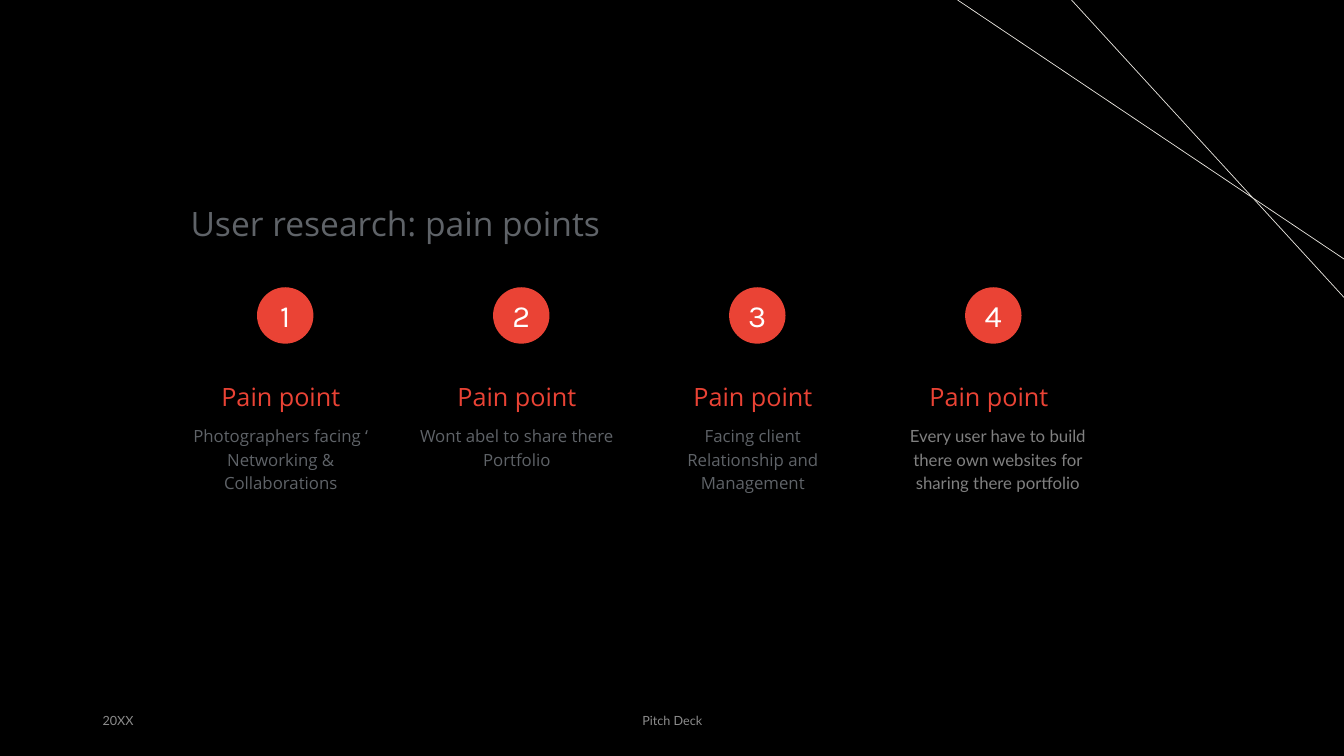
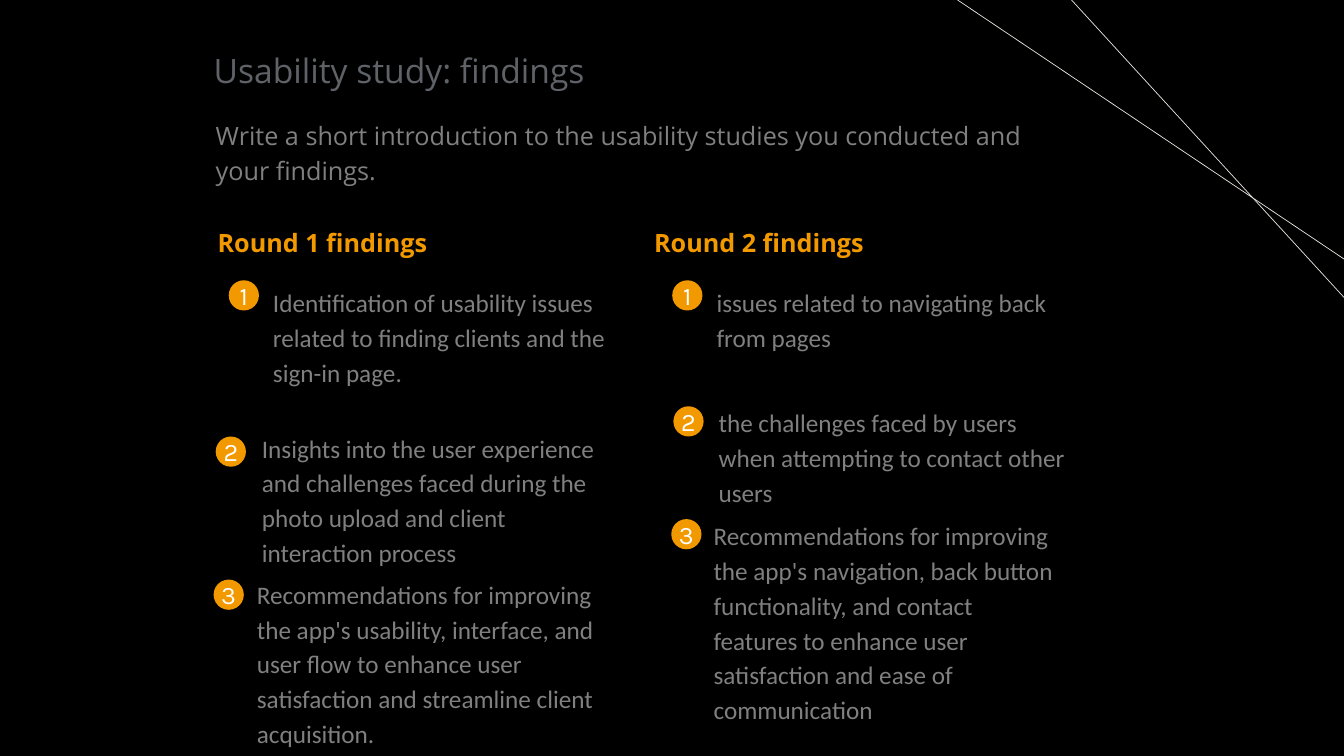
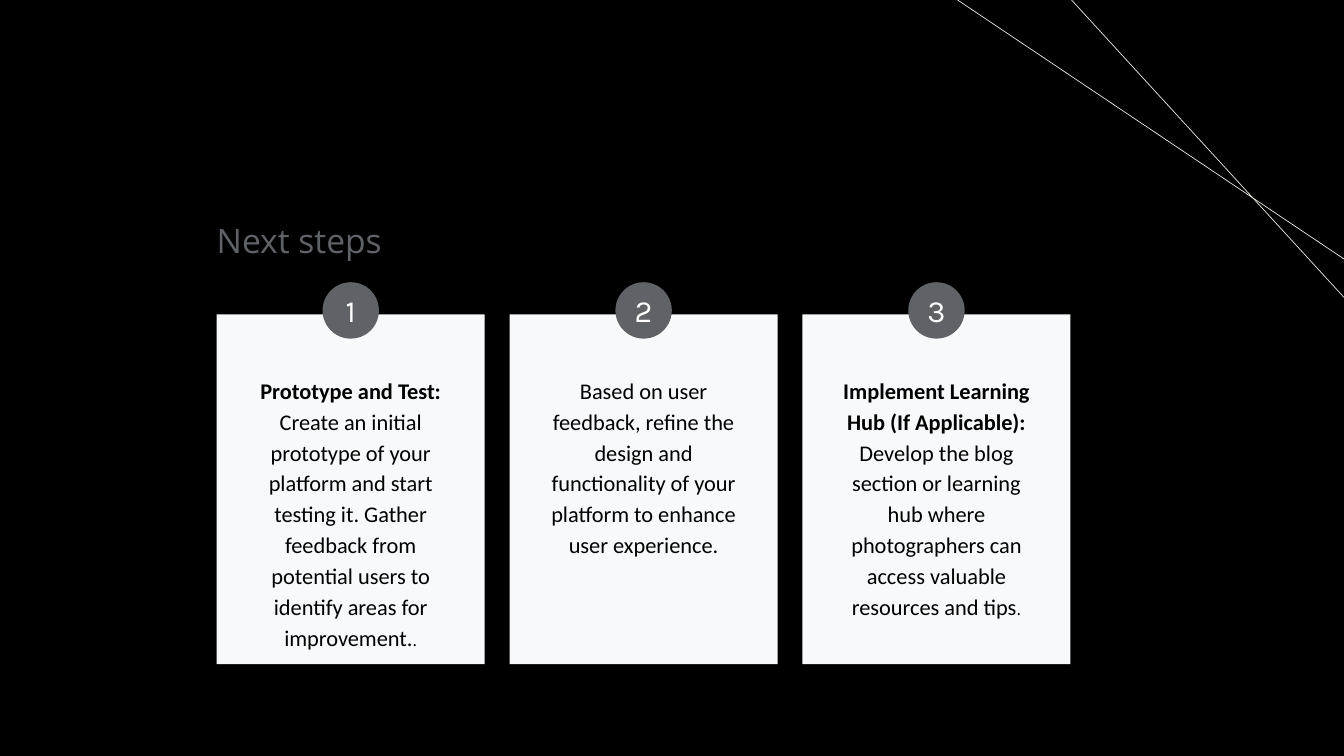
import pptx
import pptx.dml.color
import pptx.enum.shapes
import pptx.enum.text
import pptx.oxml
import pptx.util
import lxml.etree

Pt = pptx.util.Pt
RGBColor = pptx.dml.color.RGBColor
PP_ALIGN = pptx.enum.text.PP_ALIGN
MSO_ANCHOR = pptx.enum.text.MSO_ANCHOR
MSO_SHAPE = pptx.enum.shapes.MSO_SHAPE

BLACK = RGBColor(0x00, 0x00, 0x00)
WHITE = RGBColor(0xFF, 0xFF, 0xFF)
SLATE = RGBColor(0x5F, 0x63, 0x68)
GRAY = RGBColor(0x80, 0x80, 0x80)
FOOTER_GRAY = RGBColor(0x8C, 0x8C, 0x8C)
RULE = RGBColor(0xE9, 0xE6, 0xDF)
RED = RGBColor(0xEA, 0x43, 0x35)
ORANGE = RGBColor(0xF2, 0x99, 0x00)
CARD = RGBColor(0xF8, 0xF9, 0xFA)

HEADING_FONT = "Open Sans"
BODY_FONT = "Calibri"
BADGE_FONT = "Karla"
FOOTER_FONT = "Lato"


def add_text(slide, left, top, width, height, text, size, font, color,
             bold=False, align=PP_ALIGN.LEFT, spacing=1.15, inset=7.2,
             anchor=MSO_ANCHOR.TOP):
    """Add a wrapped text box and return its text frame."""
    box = slide.shapes.add_textbox(Pt(left), Pt(top), Pt(width), Pt(height))
    frame = box.text_frame
    frame.word_wrap = True
    frame.vertical_anchor = anchor
    frame.margin_left = Pt(inset)
    frame.margin_top = frame.margin_right = frame.margin_bottom = Pt(7.2)
    frame.text = text
    for paragraph in frame.paragraphs:
        paragraph.alignment = align
        paragraph.line_spacing = spacing
        for run in paragraph.runs:
            run.font.size = Pt(size)
            run.font.name = font
            run.font.bold = bold
            run.font.color.rgb = color
    return frame


def add_badge(slide, left, top, diameter, number, size, color):
    """Add a filled circle with a centred number."""
    badge = slide.shapes.add_shape(
        MSO_SHAPE.OVAL, Pt(left), Pt(top), Pt(diameter), Pt(diameter))
    badge.shadow.inherit = False
    badge.fill.solid()
    badge.fill.fore_color.rgb = color
    badge.line.fill.background()
    frame = badge.text_frame
    frame.margin_left = frame.margin_top = frame.margin_right = frame.margin_bottom = 0
    frame.vertical_anchor = MSO_ANCHOR.MIDDLE
    frame.word_wrap = False
    frame.text = str(number)
    paragraph = frame.paragraphs[0]
    paragraph.alignment = PP_ALIGN.CENTER
    font = paragraph.runs[0].font
    font.size = Pt(size)
    font.name = BADGE_FONT
    font.color.rgb = WHITE


presentation = pptx.Presentation()
presentation.slide_width = Pt(960)
presentation.slide_height = Pt(540)
presentation.slide_master.background.fill.solid()
presentation.slide_master.background.fill.fore_color.rgb = BLACK
title_only = presentation.slide_layouts[5]

# Title and crossing lines on every slide
slides = []
for title_text, left, top, width in (
    ("User research: pain points", 136.1, 137.5, 484.6),
    ("Usability study: findings", 152.6, 28.1, 484.6),
    ("Next steps", 154.8, 149.8, 388.1),
):
    slide = presentation.slides.add_slide(title_only)
    slides.append(slide)
    for start_x, end_y in ((684, 185), (765.4, 212.4)):
        line = slide.shapes.add_connector(
            pptx.enum.shapes.MSO_CONNECTOR.STRAIGHT,
            Pt(start_x), Pt(0), Pt(960), Pt(end_y))
        line.line.color.rgb = RULE
        line.line.width = Pt(0.5)
        lxml.etree.SubElement(line.element.spPr, pptx.oxml.ns.qn("a:effectLst"))

    title = slide.shapes.title
    title.left, title.top, title.width, title.height = Pt(left), Pt(top), Pt(width), Pt(43.9)
    frame = title.text_frame
    frame.auto_size = pptx.enum.text.MSO_AUTO_SIZE.NONE
    frame.word_wrap = True
    frame.vertical_anchor = MSO_ANCHOR.TOP
    frame.margin_left = 0
    frame.margin_top = frame.margin_right = frame.margin_bottom = Pt(7.2)
    frame.text = title_text
    frame.paragraphs[0].alignment = PP_ALIGN.LEFT
    font = frame.paragraphs[0].runs[0].font
    font.size = Pt(24)
    font.name = HEADING_FONT
    font.color.rgb = SLATE

pain_slide, findings_slide, steps_slide = slides

# Pain points
for text, left, width, align in (
    ("20XX", 66.2, 216, PP_ALIGN.LEFT),
    ("Pitch Deck", 318.2, 324, PP_ALIGN.CENTER),
):
    add_text(pain_slide, left, 500.4, width, 28.8, text, 9, FOOTER_FONT,
             FOOTER_GRAY, align=align, spacing=1.0, anchor=MSO_ANCHOR.MIDDLE)

pain_points = (
    ("Photographers facing ‘\nNetworking & Collaborations", 0, HEADING_FONT, SLATE),
    ("Wont abel to share there Portfolio", 0, HEADING_FONT, SLATE),
    ("Facing client Relationship and Management", 0, HEADING_FONT, SLATE),
    ("Every user have to build there own websites for sharing there portfolio",
     6.4, FOOTER_FONT, GRAY),
)
for index, (text, shift, font_name, color) in enumerate(pain_points):
    left = 130.3 + 168.6 * index
    add_badge(pain_slide, left + 53.3, 205.2, 40.3, index + 1, 22, RED)
    add_text(pain_slide, left, 254.2, 147.6, 31.7, "Pain point", 18, HEADING_FONT,
             RED, align=PP_ALIGN.CENTER, spacing=1.5, inset=0)
    add_text(pain_slide, left + shift, 295, 147.6, 64.8, text, 12, font_name,
             color, align=PP_ALIGN.CENTER, inset=0)

# Findings
add_text(findings_slide, 154.1, 75.6, 619.9, 90,
         "Write a short introduction to the usability studies you conducted "
         "and your findings.", 18, HEADING_FONT, GRAY, inset=0)

# Each finding: text left, top, height; badge left, top; wording
rounds = (
    ("Round 1 findings", 148.3, (
        (187.9, 195.1, 90, 163.4, 200.2,
         "Identification of usability issues related to finding clients and "
         "the sign-in page."),
        (180, 298.8, 115.2, 154.1, 311.8,
         "Insights into the user experience and challenges faced during the "
         "photo upload and client interaction process"),
        (176.4, 403.2, 139.7, 152.6, 414,
         "Recommendations for improving the app's usability, interface, and "
         "user flow to enhance user satisfaction and streamline client "
         "acquisition."),
    )),
    ("Round 2 findings", 460.1, (
        (504.7, 195.1, 64.8, 480.2, 200.2,
         "issues related to navigating back from pages"),
        (506.2, 280.8, 90, 481, 290.2,
         "the challenges faced by users when attempting to contact other users"),
        (502.6, 361.4, 164.9, 479.5, 370.8,
         "Recommendations for improving the app's navigation, back button "
         "functionality, and contact features to enhance user satisfaction "
         "and ease of communication"),
    )),
)
for heading, heading_left, findings in rounds:
    add_text(findings_slide, heading_left, 151.9, 262.8, 31.7, heading, 18,
             HEADING_FONT, ORANGE, bold=True)
    for number, (left, top, height, badge_left, badge_top, text) in enumerate(findings, 1):
        add_text(findings_slide, left, top, 262.8, height, text, 18, BODY_FONT, GRAY)
        add_badge(findings_slide, badge_left, badge_top, 21.6, number, 18, ORANGE)

# Next steps: heading, body and closing mark of each card
steps = (
    ("Prototype and Test: ",
     "Create an initial prototype of your platform and start testing it. Gather "
     "feedback from potential users to identify areas for improvement.", "."),
    ("",
     "Based on user feedback, refine the design and functionality of your "
     "platform to enhance user experience.", ""),
    ("Implement Learning Hub (If Applicable):",
     " Develop the blog section or learning hub where photographers can access "
     "valuable resources and tips", "."),
)
for index, (heading, body, closing) in enumerate(steps):
    left = 154.8 + 209.2 * index
    card = steps_slide.shapes.add_shape(
        MSO_SHAPE.RECTANGLE, Pt(left), Pt(224.6), Pt(191.5), Pt(249.8))
    card.shadow.inherit = False
    card.fill.solid()
    card.fill.fore_color.rgb = CARD
    card.line.fill.background()
    frame = add_text(steps_slide, left + 15.1, 259.2, 161.3, 215.3, "", 16,
                     BODY_FONT, BLACK, align=PP_ALIGN.CENTER)
    for text, size, font_name, bold in (
        (heading, 16, BODY_FONT, True),
        (body, 16, BODY_FONT, False),
        (closing, 12, HEADING_FONT, False),
    ):
        if text:
            run = frame.paragraphs[0].add_run()
            run.text = text
            run.font.size = Pt(size)
            run.font.name = font_name
            run.font.bold = bold
            run.font.color.rgb = BLACK
    add_badge(steps_slide, left + 75.6, 201.6, 40.3, index + 1, 22, SLATE)

presentation.save("out.pptx")
